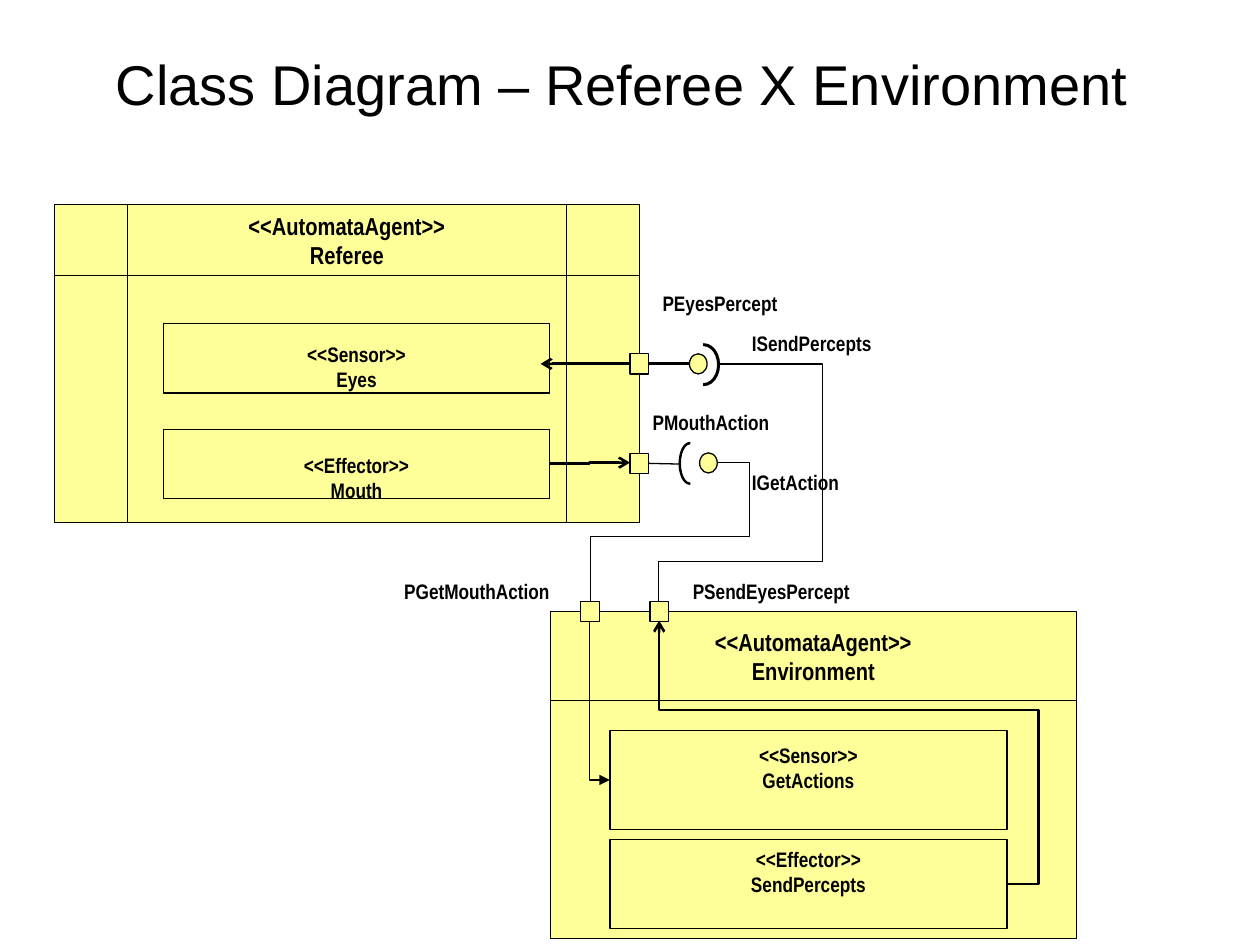
from lxml import etree
from pptx import Presentation
from pptx.dml.color import RGBColor
from pptx.enum.shapes import MSO_CONNECTOR, MSO_SHAPE
from pptx.enum.text import MSO_ANCHOR, MSO_AUTO_SIZE, PP_ALIGN
from pptx.oxml.ns import qn
from pptx.util import Pt

RECT = MSO_SHAPE.RECTANGLE
OVAL = MSO_SHAPE.OVAL
ARC = MSO_SHAPE.BLOCK_ARC
FRAME = MSO_SHAPE.FLOWCHART_PREDEFINED_PROCESS
STRAIGHT = MSO_CONNECTOR.STRAIGHT
ELBOW = MSO_CONNECTOR.ELBOW
TOP = MSO_ANCHOR.TOP
MIDDLE = MSO_ANCHOR.MIDDLE
GROW = MSO_AUTO_SIZE.SHAPE_TO_FIT_TEXT
FIXED = MSO_AUTO_SIZE.NONE
LEFT = PP_ALIGN.LEFT
CENTER = PP_ALIGN.CENTER

BLACK = RGBColor(0, 0, 0)
CREAM = RGBColor(0xFF, 0xFF, 0x99)


def write(shape, text, size=12, font="Arial Narrow", bold=True, align=CENTER,
          anchor=TOP, top=3.6, right=7.2, wrap=False, fit=FIXED):
    frame = shape.text_frame
    frame.word_wrap = wrap
    frame.auto_size = fit
    frame.vertical_anchor = anchor
    frame.margin_left, frame.margin_right = Pt(7.2), Pt(right)
    frame.margin_top, frame.margin_bottom = Pt(top), Pt(3.6)
    for i, line in enumerate(text.split("\n")):
        para = frame.add_paragraph() if i else frame.paragraphs[0]
        para.alignment = align
        run = para.add_run()
        run.text = line
        run.font.name = font
        run.font.size = Pt(size)
        run.font.bold = bold
        run.font.color.rgb = BLACK


class Chart:
    """Draws class diagram parts on one slide in a shared style."""

    def __init__(self, slide, fill=CREAM, ink=BLACK, thin=0.75):
        self.shapes = slide.shapes
        self.fill, self.ink, self.thin = fill, ink, thin

    def box(self, x, y, w, h, text="", kind=RECT, fill=None, **style):
        shape = self.shapes.add_shape(kind, Pt(x), Pt(y), Pt(w), Pt(h))
        shape.shadow.inherit = False
        shape.fill.solid()
        shape.fill.fore_color.rgb = fill or self.fill
        shape.line.color.rgb = self.ink
        shape.line.width = Pt(self.thin)
        if text:
            write(shape, text, **style)
        return shape

    def port(self, x, y):
        self.box(x, y, 10.8, 11.5)

    def ball(self, x, y):
        self.box(x, y, 10.1, 11.5, kind=OVAL)

    def socket(self, x, y, w, h, turn):
        arc = self.box(x, y, w, h, kind=ARC, fill=self.ink)
        arc.rotation = turn
        for i, value in enumerate((108, 0, 0.056)):
            arc.adjustments[i] = value

    def label(self, x, y, w, text, h=21.6, **style):
        shape = self.shapes.add_textbox(Pt(x), Pt(y), Pt(w), Pt(h))
        write(shape, text, **style)

    def line(self, start, end, kind=STRAIGHT, width=None, head=None, tail=None):
        link = self.shapes.add_connector(kind, *map(Pt, start + end))
        link.line.color.rgb = self.ink
        link.line.width = Pt(width or self.thin)
        props = link.element.spPr
        ln = props.find(qn("a:ln"))
        for tag, tip in (("a:headEnd", head), ("a:tailEnd", tail)):
            if tip:
                etree.SubElement(ln, qn(tag), type=tip)
        etree.SubElement(props, qn("a:effectLst"))
        return link

    def bend(self, start, end, prst, turn=0, bends=(), **style):
        props = self.line(start, end, ELBOW, **style).element.spPr
        props.find(qn("a:xfrm")).set("rot", str(turn * 60000))
        geom = props.find(qn("a:prstGeom"))
        geom.set("prst", prst)
        guides = geom.find(qn("a:avLst"))
        for i, value in enumerate(bends, 1):
            etree.SubElement(guides, qn("a:gd"), name=f"adj{i}",
                             fmla=f"val {round(value * 100000)}")


def main():
    deck = Presentation()
    deck.slide_width, deck.slide_height = Pt(720), Pt(540)
    chart = Chart(deck.slides.add_slide(deck.slide_layouts[6]))

    chart.box(31, 117, 334.5, 40.5, "<<AutomataAgent>>\nReferee",
              kind=FRAME, size=14, anchor=MIDDLE)
    chart.box(31, 157.5, 334.5, 141, kind=FRAME)
    chart.box(93.6, 245.3, 220.3, 39.6, "<<Effector>>\nMouth", top=13.3)
    chart.socket(390.2, 199.4, 23.8, 18, 90)

    chart.box(314.6, 349.4, 300.4, 51, "<<AutomataAgent>>\nEnvironment",
              size=14, anchor=MIDDLE)
    chart.box(314.6, 400.4, 300.4, 136, kind=RECT)
    chart.box(348.5, 417.5, 226.9, 56.7, "<<Sensor>>\nGetActions", top=6.9)
    chart.box(348.5, 479.6, 226.9, 51.1, "<<Effector>>\nSendPercepts", top=4.2)
    chart.port(371.4, 343.6)

    chart.box(93.6, 185, 220.3, 39.6, "<<Sensor>>\nEyes", top=10.2)
    chart.ball(394, 202.2)
    chart.line((370.8, 207.9), (394, 207.9))
    chart.line((394, 207.9), (308.9, 207.9), width=1.5, tail="arrow")
    chart.port(360, 202.2)
    chart.bend((461.4, 293.1), (326, 258.5), "bentConnector4", 90,
               (0.168, 2.7))

    chart.ball(399.8, 258.8)
    chart.port(360, 259)
    chart.socket(382.3, 258.7, 23.8, 12.2, 270)
    chart.port(331.9, 343.6)
    chart.line((370.8, 264.8), (388.8, 265.2))
    chart.bend((410.4, 264.4), (337.5, 343.6), "bentConnector4", 0,
               (-0.245, 0.534))
    chart.bend((388.1, 394.6), (297.4, 406.1), "bentConnector2", 270,
               tail="triangle")

    for x, y, w, text in (
        (371.5, 162.7, 79.9, "PEyesPercept"),
        (388.8, 326.9, 103.7, "PSendEyesPercept"),
        (422.6, 185.3, 82.8, "ISendPercepts"),
        (422.6, 264.5, 64.1, "IGetAction"),
        (365.8, 230.4, 80.6, "PMouthAction"),
        (223.9, 326.9, 97.2, "PGetMouthAction"),
    ):
        chart.label(x, y, w, text, align=LEFT, right=0, fit=GROW)

    chart.label(36, 21.6, 648, "Class Diagram – Referee X Environment", h=90,
                size=32, font="Arial", bold=False, top=6.6, right=16, wrap=True)
    chart.bend((551.3, 330.5), (400.8, 529.2), "bentConnector4", 270,
               (0.339, 1.091), width=1.5, head="arrow")
    chart.bend((313.9, 265), (360, 264.4), "bentConnector3", 0, (0.498,),
               width=1.5, tail="arrow")
    deck.save("out.pptx")


if __name__ == "__main__":
    main()
